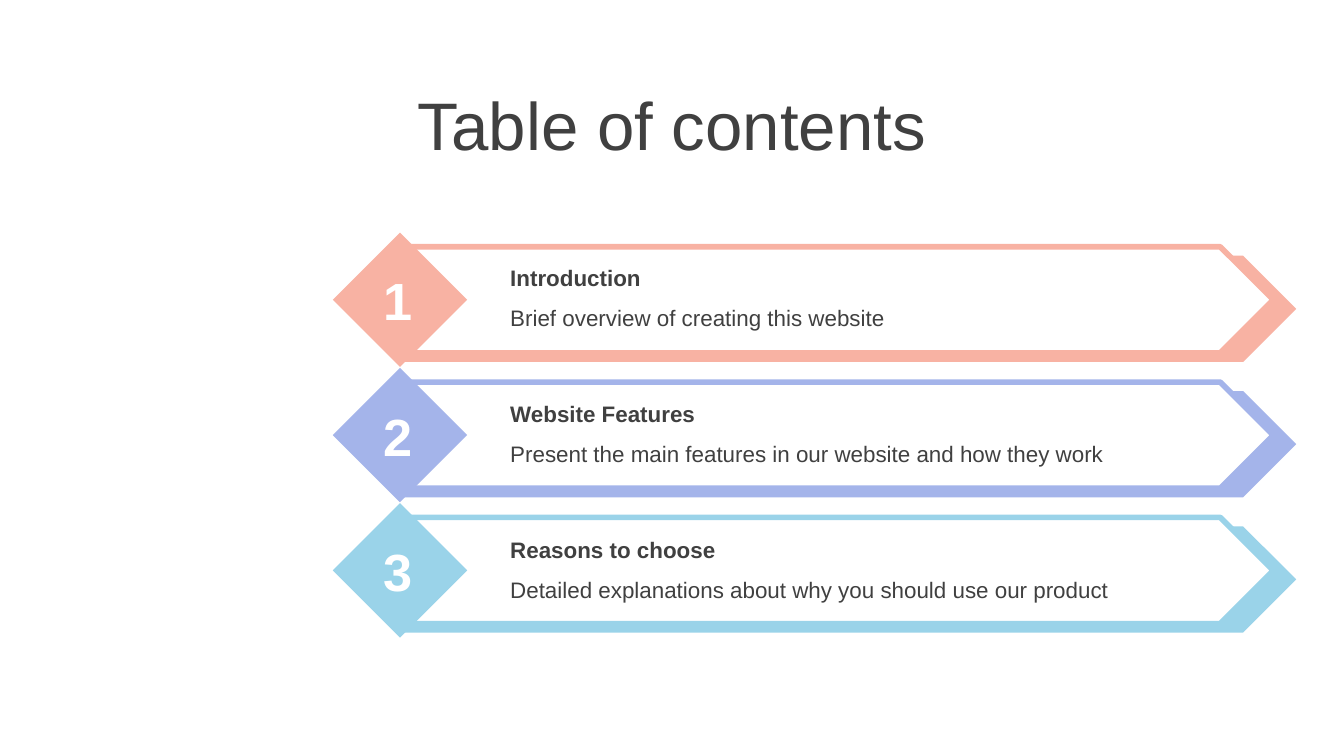
from dataclasses import dataclass

from pptx import Presentation
from pptx.dml.color import RGBColor
from pptx.enum.shapes import MSO_SHAPE
from pptx.enum.text import MSO_ANCHOR, PP_ALIGN
from pptx.util import Pt

PENTAGON, DIAMOND = MSO_SHAPE.PENTAGON, MSO_SHAPE.DIAMOND
TOP, MIDDLE = MSO_ANCHOR.TOP, MSO_ANCHOR.MIDDLE
LEFT, CENTER = PP_ALIGN.LEFT, PP_ALIGN.CENTER


@dataclass(frozen=True)
class Theme:
    """Colours, font and type sizes of the slide."""
    font: str = "Arial"
    ink: str = "404040"
    white: str = "FFFFFF"
    accents: tuple = ("F8B2A3", "A4B4EA", "9AD3E9")
    title: int = 36
    number: int = 28
    body: int = 12
    outline: int = 3


THEME = Theme()
SLIDE_W, SLIDE_H = 720, 405
BANNER_TOP, BANNER_PITCH = 124.6, 72.5
TEXT_TOP, TEXT_PITCH = 138.2, 72.7
BANNER_LEFT, BANNER_H = 216.4, 56.9
ENTRIES = (
    ("Introduction", "Brief overview of creating this website"),
    ("Website Features",
     "Present the main features in our website and how they work"),
    ("Reasons to choose",
     "Detailed explanations about why you should use our product"),
)


def add_shape(shapes, kind, box, fill, line=None):
    """Add a filled preset shape, outlined when a line colour is given."""
    sp = shapes.add_shape(kind, *map(Pt, box))
    sp.shadow.inherit = False
    sp.fill.solid()
    sp.fill.fore_color.rgb = RGBColor.from_string(fill)
    if line:
        sp.line.color.rgb = RGBColor.from_string(line)
        sp.line.width = Pt(THEME.outline)
    else:
        sp.line.fill.background()


def add_text(shapes, text, box, size, color=THEME.ink, bold=False,
             align=LEFT, anchor=TOP):
    """Add a wrapped one-paragraph text box."""
    tf = shapes.add_textbox(*map(Pt, box)).text_frame
    tf.word_wrap = True
    tf.vertical_anchor = anchor
    tf.text = text
    p = tf.paragraphs[0]
    p.alignment = align
    font = p.runs[0].font
    font.name, font.size, font.bold = THEME.font, Pt(size), bold
    font.color.rgb = RGBColor.from_string(color)


def add_banner(s, top, color):
    """Add an arrow banner with its offset backing and number diamond."""
    shapes = s.shapes.add_group_shape().shapes
    add_shape(shapes, PENTAGON, (BANNER_LEFT, top + 12.4, 478, BANNER_H), color)
    add_shape(shapes, PENTAGON, (BANNER_LEFT, top + 7.6, 465.8, BANNER_H),
              THEME.white, color)
    add_shape(shapes, DIAMOND, (178.3, top, 72, 72), color)


def add_caption(s, top, number, heading, detail):
    """Add the number, heading and description of one entry."""
    add_text(s.shapes, str(number), (197.2, top + 1.6, 31.7, 41.2),
             THEME.number, THEME.white, True, CENTER, MIDDLE)
    shapes = s.shapes.add_group_shape().shapes
    add_text(shapes, heading, (266.3, top, 374.4, 21.8), THEME.body, bold=True)
    add_text(shapes, detail, (266.3, top + 21.3, 374.4, 21.8), THEME.body)


def main():
    """Build the table of contents slide and save it."""
    prs = Presentation()
    prs.slide_width, prs.slide_height = Pt(SLIDE_W), Pt(SLIDE_H)
    s = prs.slides.add_slide(prs.slide_layouts[6])
    add_text(s.shapes, "Table of contents", (0, 20.9, SLIDE_W, 90.7),
             THEME.title, align=CENTER, anchor=MIDDLE)
    for i, (entry, color) in enumerate(zip(ENTRIES, THEME.accents)):
        add_banner(s, BANNER_TOP + i * BANNER_PITCH, color)
        add_caption(s, TEXT_TOP + i * TEXT_PITCH, i + 1, *entry)
    prs.save("out.pptx")


main()
